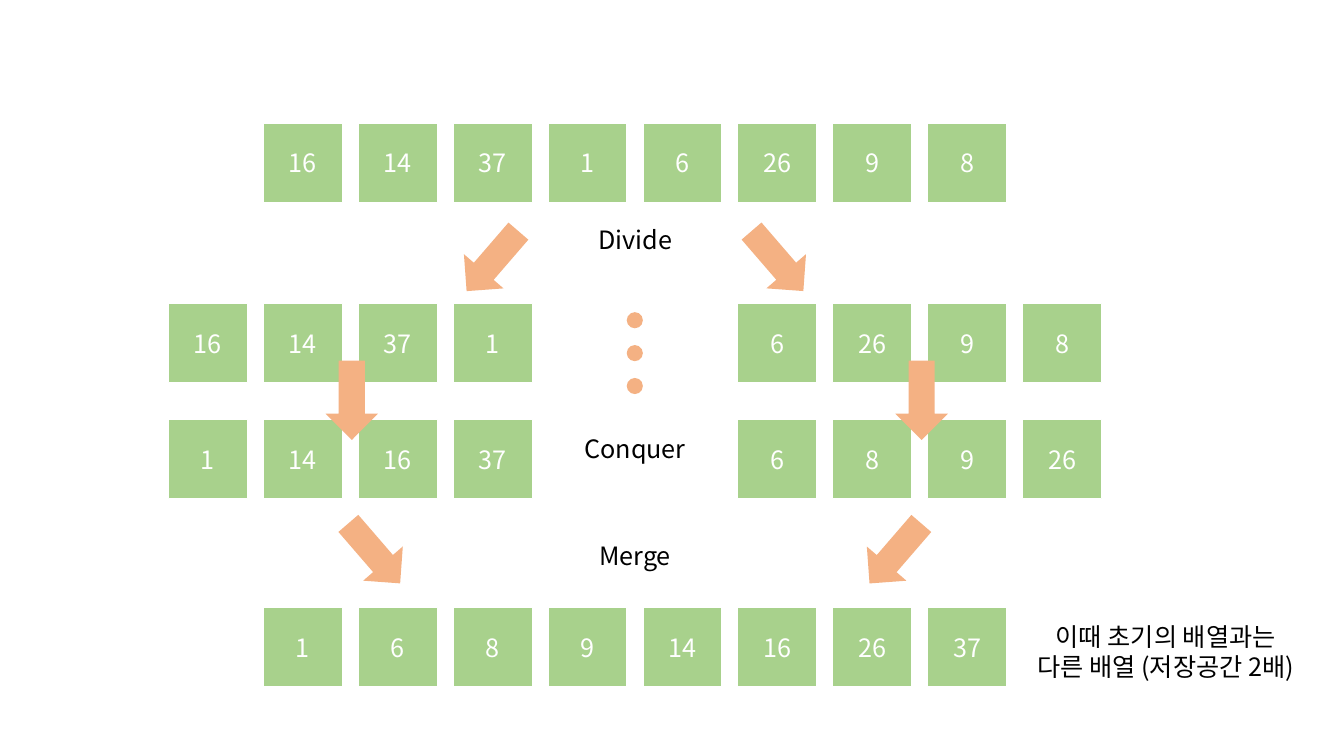
import pptx
import pptx.dml.color
import pptx.enum.shapes
import pptx.enum.text
import pptx.util

Pt = pptx.util.Pt
RGB = pptx.dml.color.RGBColor
Kind = pptx.enum.shapes.MSO_SHAPE
Align = pptx.enum.text.PP_ALIGN
Anchor = pptx.enum.text.MSO_ANCHOR

GREEN = RGB(0xA8, 0xD1, 0x8C)
PEACH = RGB(0xF4, 0xB1, 0x83)
WHITE = RGB(0xFF, 0xFF, 0xFF)
BLACK = RGB(0x00, 0x00, 0x00)

CELL = 56.6
PITCH = 67.8
LEFT = 120.2


class Board:
    def __init__(self, slide):
        self.slide = slide
        self.font = {"name": "Noto Sans CJK KR", "size": Pt(18)}

    def fill_text(self, frame, text, color):
        frame.word_wrap = True
        frame.text = text
        for para in frame.paragraphs:
            para.alignment = Align.CENTER
            for run in para.runs:
                for key, value in self.font.items():
                    setattr(run.font, key, value)
                run.font.color.rgb = color

    def shape(self, kind, x, y, w, h, fill):
        item = self.slide.shapes.add_shape(kind, Pt(x), Pt(y), Pt(w), Pt(h))
        item.shadow.inherit = False
        item.fill.solid()
        item.fill.fore_color.rgb = fill
        item.line.fill.background()
        return item

    def row(self, col, y, values):
        """Draw one run of array cells, starting at grid column col."""
        for i, value in enumerate(values, col):
            cell = self.shape(Kind.RECTANGLE, LEFT + i * PITCH, y, CELL, CELL, GREEN)
            cell.line.color.rgb = WHITE
            cell.line.width = Pt(1)
            cell.text_frame.vertical_anchor = Anchor.MIDDLE
            self.fill_text(cell.text_frame, str(value), WHITE)

    def arrow(self, x, y, turn):
        item = self.shape(Kind.RIGHT_ARROW, x, y, CELL, 37.4, PEACH)
        item.rotation = turn

    def dot(self, x, y):
        self.shape(Kind.OVAL, x, y, 11.5, 11.5, PEACH)

    def label(self, x, y, w, h, text):
        box = self.slide.shapes.add_textbox(Pt(x), Pt(y), Pt(w), Pt(h))
        self.fill_text(box.text_frame, text, BLACK)


def main():
    deck = pptx.Presentation()
    deck.slide_width, deck.slide_height = Pt(960), Pt(540)
    board = Board(deck.slides.add_slide(deck.slide_layouts[6]))

    for col, y, values in (
        (1, 88, (16, 14, 37, 1, 6, 26, 9, 8)),
        (0, 216.7, (16, 14, 37, 1)),
        (6, 216.7, (6, 26, 9, 8)),
        (0, 299.7, (1, 14, 16, 37)),
        (6, 299.7, (6, 8, 9, 26)),
        (1, 434, (1, 6, 8, 9, 14, 16, 26, 37)),
    ):
        board.row(col, y, values)

    for x, y, turn in (
        (323.5, 167.8, 130.8),
        (527, 167.8, 49.2),
        (223, 267.2, 90),
        (630, 267.2, 90),
        (239, 376.6, 49.2),
        (611.3, 376.6, 130.8),
    ):
        board.arrow(x, y, turn)

    for i in range(3):
        board.dot(447.7, 223 + i * 23.5)

    for y, text in ((157, "Divide"), (306, "Conquer"), (382.3, "Merge")):
        board.label(407.2, y, 92.9, 29, text)
    board.label(730.8, 439.9, 203.8, 51, "이때 초기의 배열과는\n다른 배열 (저장공간 2배)")

    deck.save("out.pptx")


if __name__ == "__main__":
    main()
